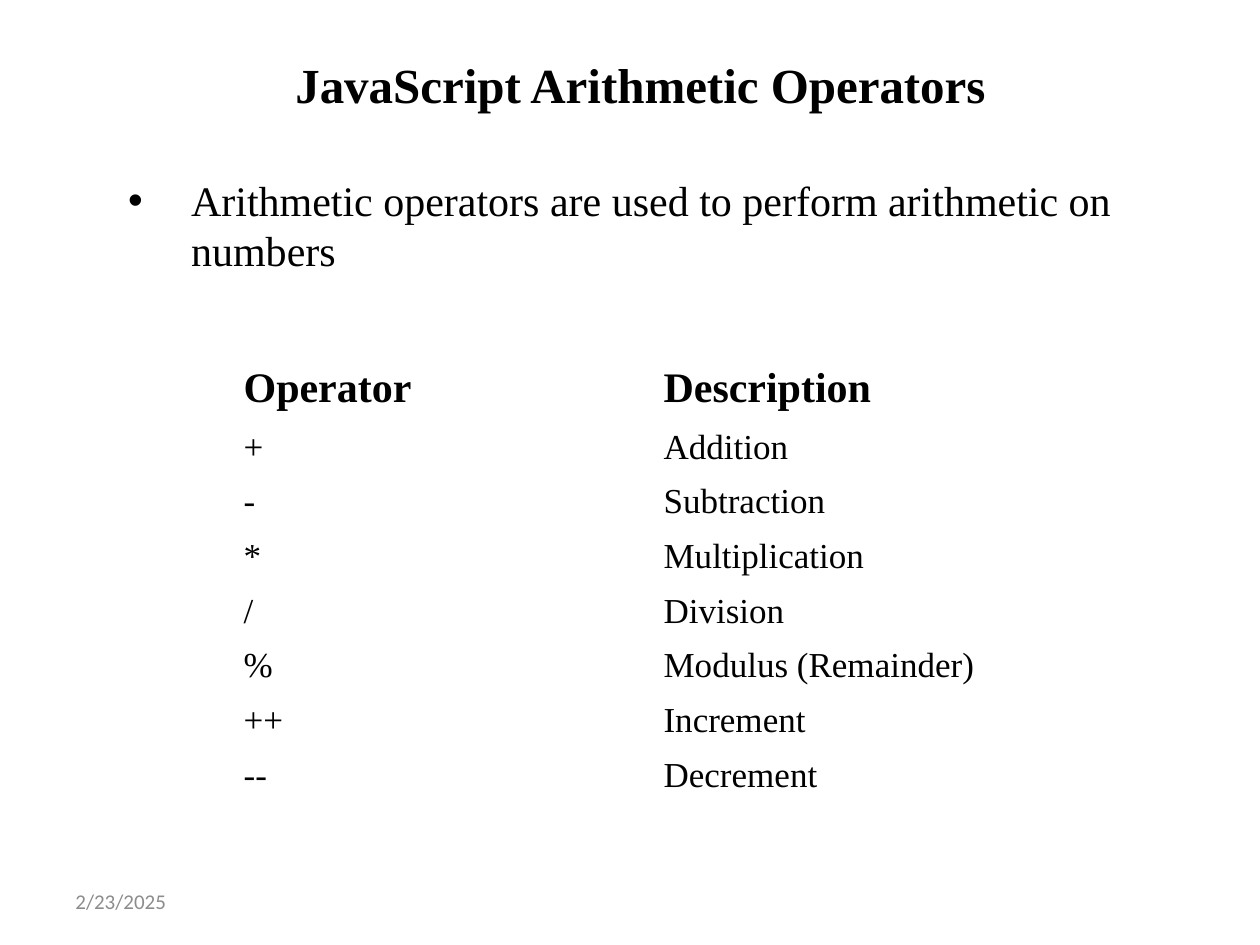
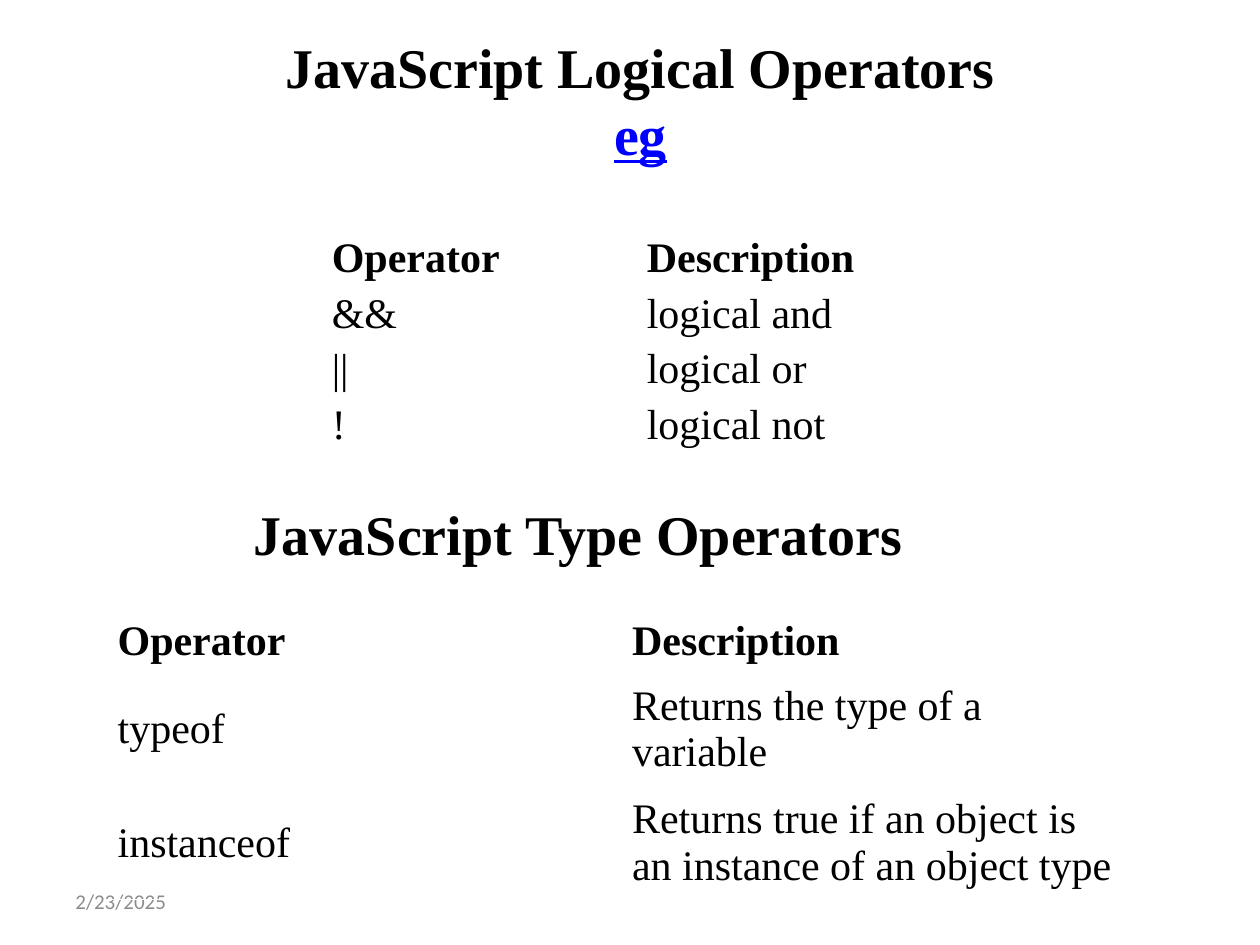
from pptx import Presentation
from pptx.dml.color import RGBColor
from pptx.enum.text import MSO_ANCHOR, MSO_AUTO_SIZE, PP_ALIGN
from pptx.util import Pt

MIDDLE = MSO_ANCHOR.MIDDLE
CENTER = PP_ALIGN.CENTER
NO_FIT = MSO_AUTO_SIZE.NONE

BLACK = RGBColor(0x00, 0x00, 0x00)
GREY = RGBColor(0x8C, 0x8C, 0x8C)
BLUE = RGBColor(0x00, 0x00, 0xFF)

SERIF = "Times New Roman"
SANS = "Calibri"
HEADER = ("Operator", "Description")


def add_span(para, text, size, bold=False, color=BLACK, font=SERIF):
    span = para.add_run()
    span.text = text
    span.font.name = font
    span.font.size = Pt(size)
    span.font.bold = bold
    span.font.color.rgb = color
    return span


def add_operator_table(page, left, top, width, header_height, row_height,
                       rows, size, margins=(7.2, 3.6)):
    height = header_height + row_height * len(rows)
    table = page.shapes.add_table(len(rows) + 1, 2, Pt(left), Pt(top),
                                  Pt(width), Pt(height)).table
    table.first_row = False
    table.horz_banding = False
    for row_index, texts in enumerate([HEADER, *rows]):
        is_header = row_index == 0
        table.rows[row_index].height = Pt(header_height if is_header else row_height)
        for column_index, text in enumerate(texts):
            cell = table.cell(row_index, column_index)
            cell.fill.background()
            cell.vertical_anchor = MIDDLE
            cell.margin_left = cell.margin_right = Pt(margins[0])
            cell.margin_top = cell.margin_bottom = Pt(margins[1])
            add_span(cell.text_frame.paragraphs[0], text,
                     24 if is_header else size, bold=is_header)


deck = Presentation()
deck.slide_width = Pt(720)
deck.slide_height = Pt(540)
content_layout = deck.slide_layouts[1]
title_only_layout = deck.slide_layouts[5]

# Titles and dates of both slides
pages = []
for layout, title_text, title_size, title_top, title_height in (
    (content_layout, "JavaScript Arithmetic Operators", 28, 18, 60),
    (title_only_layout, "JavaScript Logical Operators", 32, 18, 78),
):
    page = deck.slides.add_slide(layout)
    pages.append(page)

    title = page.shapes.title
    title.left, title.top = Pt(36), Pt(title_top)
    title.width, title.height = Pt(660), Pt(title_height)
    title.text_frame.auto_size = NO_FIT
    title.text_frame.vertical_anchor = MIDDLE
    para = title.text_frame.paragraphs[0]
    para.alignment = CENTER
    add_span(para, title_text, title_size, bold=True)

    date_box = page.shapes.add_textbox(Pt(36), Pt(500.5), Pt(168), Pt(28.75))
    date_box.text_frame.word_wrap = True
    date_box.text_frame.vertical_anchor = MIDDLE
    add_span(date_box.text_frame.paragraphs[0], "2/23/2025", 12, color=GREY, font=SANS)

arithmetic_page, logical_page = pages

# Arithmetic operators: introduction and table
body = arithmetic_page.placeholders[1]
body.left, body.top, body.width, body.height = Pt(30), Pt(96), Pt(666), Pt(384)
body.text_frame.auto_size = NO_FIT
para = body.text_frame.paragraphs[0]
bullet_format = para._p.get_or_add_pPr()
bullet_format.set("marL", str(Pt(72)))
bullet_format.set("indent", str(Pt(-36)))
add_span(para, "Arithmetic operators are used to perform arithmetic on numbers", 24)

add_operator_table(arithmetic_page, 132, 204, 480, 34.2, 29.4, [
    ("+", "Addition"),
    ("-", "Subtraction"),
    ("*", "Multiplication"),
    ("/", "Division"),
    ("%", "Modulus (Remainder)"),
    ("++", "Increment"),
    ("--", "Decrement"),
], size=20)

# Logical operators: second title line and table
para = logical_page.shapes.title.text_frame.paragraphs[0]
para.add_line_break()
example = add_span(para, "eg", 32, bold=True, color=BLUE)
example.font.underline = True

add_operator_table(logical_page, 186, 132, 360, 29.9, 29.9, [
    ("&&", "logical and"),
    ("||", "logical or"),
    ("!", "logical not"),
], size=24, margins=(3.6, 1.44))

# Type operators: heading and table
heading_box = logical_page.shapes.add_textbox(Pt(138), Pt(282), Pt(389), Pt(46))
heading_box.text_frame.word_wrap = False
add_span(heading_box.text_frame.paragraphs[0], "JavaScript Type Operators", 32, bold=True)

add_operator_table(logical_page, 60, 348, 588, 36.4, 64.8, [
    ("typeof", "Returns the type of a variable"),
    ("instanceof", "Returns true if an object is an instance of an object type"),
], size=24)

deck.save("out.pptx")
